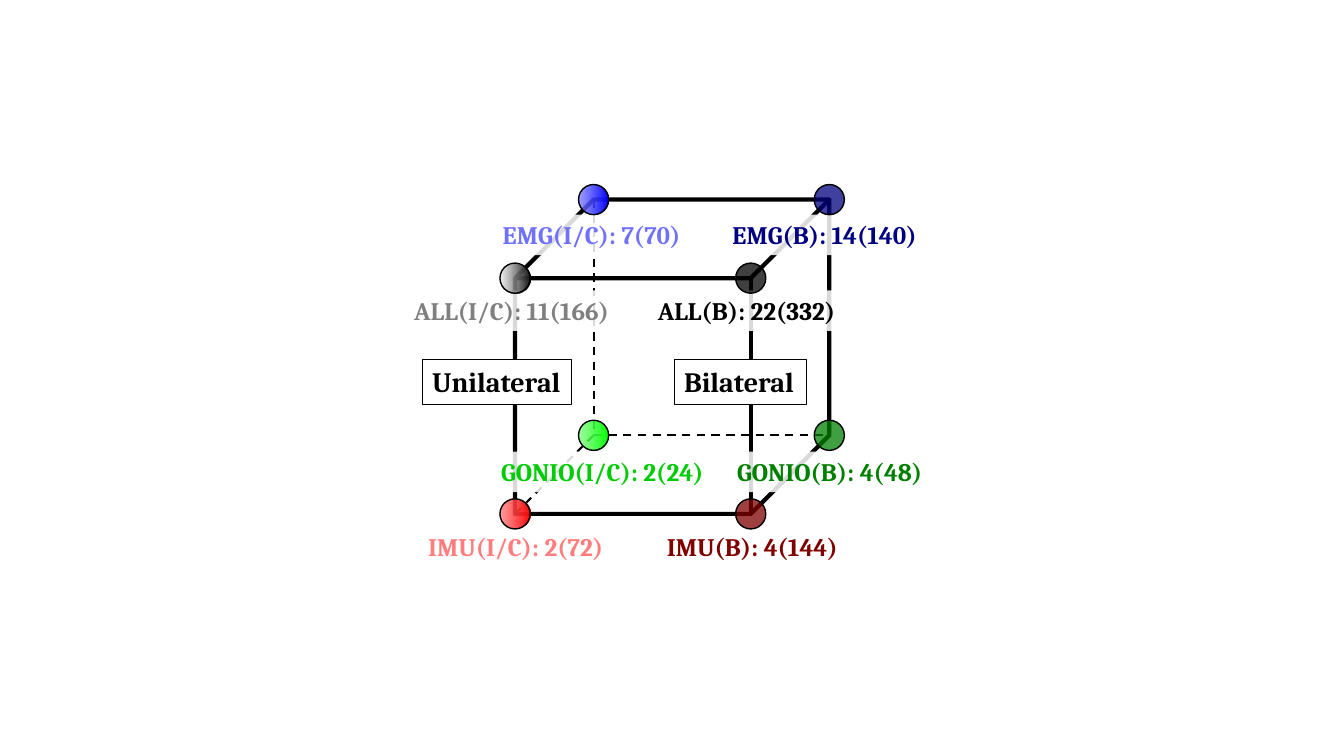
from dataclasses import dataclass

from lxml.etree import SubElement
from pptx import Presentation
from pptx.dml.color import RGBColor
from pptx.enum.dml import MSO_LINE
from pptx.enum.shapes import MSO_CONNECTOR, MSO_SHAPE
from pptx.enum.text import MSO_AUTO_SIZE, PP_ALIGN
from pptx.oxml.ns import qn
from pptx.util import Cm, Pt


@dataclass(frozen=True)
class Theme:
    font: str = "Cambria"
    heading_size: int = 20
    label_size: int = 18
    ink: str = "000000"
    paper: str = "FFFFFF"
    label_opacity: int = 85
    dot_opacity: int = 75
    edge_width: float = 3
    hidden_edge_width: float = 1.5
    dot_line_width: float = 1
    frame_width: float = 0.75


THEME = Theme()

# Lengths in centimetres
CUBE_LEFT, CUBE_TOP, CUBE_SIZE = 12.98, 5.03, 7.92
DOT_SIZE = 0.76
HEADING_TOP, HEADING_HEIGHT = 9.07, 1.12
LABEL_HEIGHT = 1.02

# text, left, width
HEADINGS = [("Bilateral", 16.99, 3.33), ("Unilateral", 10.64, 3.76)]

LABEL_TOPS = {"EMG": 5.41, "ALL": 7.32, "GONIO": 11.38, "IMU": 13.26}

# row, text, left, width, colour, wrap, alignment
LABELS = [
    ("ALL", "ALL(B): 22(332)", 16.33, 4.98, "000000", False, PP_ALIGN.LEFT),
    ("EMG", "EMG(B): 14(140)", 18.21, 5.46, "000080", False, PP_ALIGN.LEFT),
    ("GONIO", "GONIO(B): 4(48)", 18.19, 5.44, "008000", True, PP_ALIGN.CENTER),
    ("IMU", "IMU(B): 4(144)", 16.46, 5.0, "800000", False, PP_ALIGN.CENTER),
    ("IMU", "IMU(I/C): 2(72)", 10.52, 4.95, "FF7D7D", False, PP_ALIGN.CENTER),
    ("GONIO", "GONIO(I/C): 2(24)", 11.43, 6.55, "00CC05", True, PP_ALIGN.RIGHT),
    ("ALL", "ALL(I/C): 11(166)", 10.19, 5.61, "808080", False, PP_ALIGN.LEFT),
    ("EMG", "EMG(I/C): 7(70)", 12.42, 5.11, "7171FF", False, PP_ALIGN.LEFT),
]

# row: gradient of the unilateral dot, fill of the bilateral dot
DOT_COLORS = {
    "GONIO": (("80FF80", "00FF00"), "008000"),
    "IMU": (("FF8080", "FF0000"), "800000"),
    "EMG": (("8080FF", "0000FF"), "000080"),
    "ALL": (("F2F2F2", "0D0D0D"), "000000"),
}


def cube_corners():
    """Return the left and right corner of each row."""
    depth = CUBE_SIZE / 4
    face = CUBE_SIZE - depth
    rows = {"EMG": (depth, 0), "ALL": (0, depth),
            "GONIO": (depth, face), "IMU": (0, CUBE_SIZE)}
    return {
        row: [(CUBE_LEFT + x + shift, CUBE_TOP + y) for shift in (0, face)]
        for row, (x, y) in rows.items()
    }


def color(value):
    return RGBColor.from_string(value)


def set_line(shape, width):
    shape.line.color.rgb = color(THEME.ink)
    shape.line.width = Pt(width)


def set_opacity(shape, percent):
    """Make the first fill colour of the shape partly transparent."""
    first_color = next(shape.element.spPr.iter(qn("a:srgbClr")))
    SubElement(first_color, qn("a:alpha"), val=str(percent * 1000))


def add_cube(shapes):
    cube = shapes.add_shape(MSO_SHAPE.CUBE, Cm(CUBE_LEFT), Cm(CUBE_TOP),
                            Cm(CUBE_SIZE), Cm(CUBE_SIZE))
    cube.shadow.inherit = False
    cube.fill.background()
    set_line(cube, THEME.edge_width)


def add_hidden_edge(shapes, start, end):
    edge = shapes.add_connector(MSO_CONNECTOR.STRAIGHT,
                                *(Cm(value) for value in start + end))
    set_line(edge, THEME.hidden_edge_width)
    edge.line.dash_style = MSO_LINE.DASH
    SubElement(edge.element.spPr, qn("a:effectLst"))


def add_text(shapes, text, place, size, text_color, wrap=False, alignment=PP_ALIGN.LEFT):
    box = shapes.add_textbox(*(Cm(value) for value in place))
    box.fill.solid()
    box.fill.fore_color.rgb = color(THEME.paper)
    frame = box.text_frame
    frame.text = text
    frame.word_wrap = wrap
    frame.auto_size = MSO_AUTO_SIZE.SHAPE_TO_FIT_TEXT
    paragraph = frame.paragraphs[0]
    paragraph.alignment = alignment
    font = paragraph.runs[0].font
    font.name, font.size, font.bold = THEME.font, Pt(size), True
    font.color.rgb = color(text_color)
    return box


def add_dot(shapes, center, colors):
    """Draw a dot with one fill colour, or a gradient if two are given."""
    left, top = (value - DOT_SIZE / 2 for value in center)
    dot = shapes.add_shape(MSO_SHAPE.OVAL, Cm(left), Cm(top), Cm(DOT_SIZE), Cm(DOT_SIZE))
    dot.shadow.inherit = False
    if isinstance(colors, tuple):
        dot.fill.gradient()
        dot.fill.gradient_angle = 0
        for stop, value in zip(dot.fill.gradient_stops, colors):
            stop.color.rgb = color(value)
    else:
        dot.fill.solid()
        dot.fill.fore_color.rgb = color(colors)
    set_opacity(dot, THEME.dot_opacity)
    set_line(dot, THEME.dot_line_width)


def main():
    presentation = Presentation()
    presentation.slide_width, presentation.slide_height = Cm(33.87), Cm(19.05)
    slide = presentation.slides.add_slide(presentation.slide_layouts[6])
    shapes = slide.shapes.add_group_shape().shapes
    corners = cube_corners()

    add_cube(shapes)
    hidden_corner = corners["GONIO"][0]
    add_hidden_edge(shapes, corners["EMG"][0], hidden_corner)
    add_hidden_edge(shapes, hidden_corner, corners["GONIO"][1])
    add_hidden_edge(shapes, hidden_corner, corners["IMU"][0])

    for text, left, width in HEADINGS:
        place = (left, HEADING_TOP, width, HEADING_HEIGHT)
        heading = add_text(shapes, text, place, THEME.heading_size, THEME.ink)
        set_line(heading, THEME.frame_width)

    for row, text, left, width, text_color, wrap, alignment in LABELS:
        place = (left, LABEL_TOPS[row], width, LABEL_HEIGHT)
        label = add_text(shapes, text, place, THEME.label_size, text_color, wrap, alignment)
        set_opacity(label, THEME.label_opacity)

    for row, dot_colors in DOT_COLORS.items():
        for center, colors in zip(corners[row], dot_colors):
            add_dot(shapes, center, colors)

    presentation.save("out.pptx")


if __name__ == "__main__":
    main()
